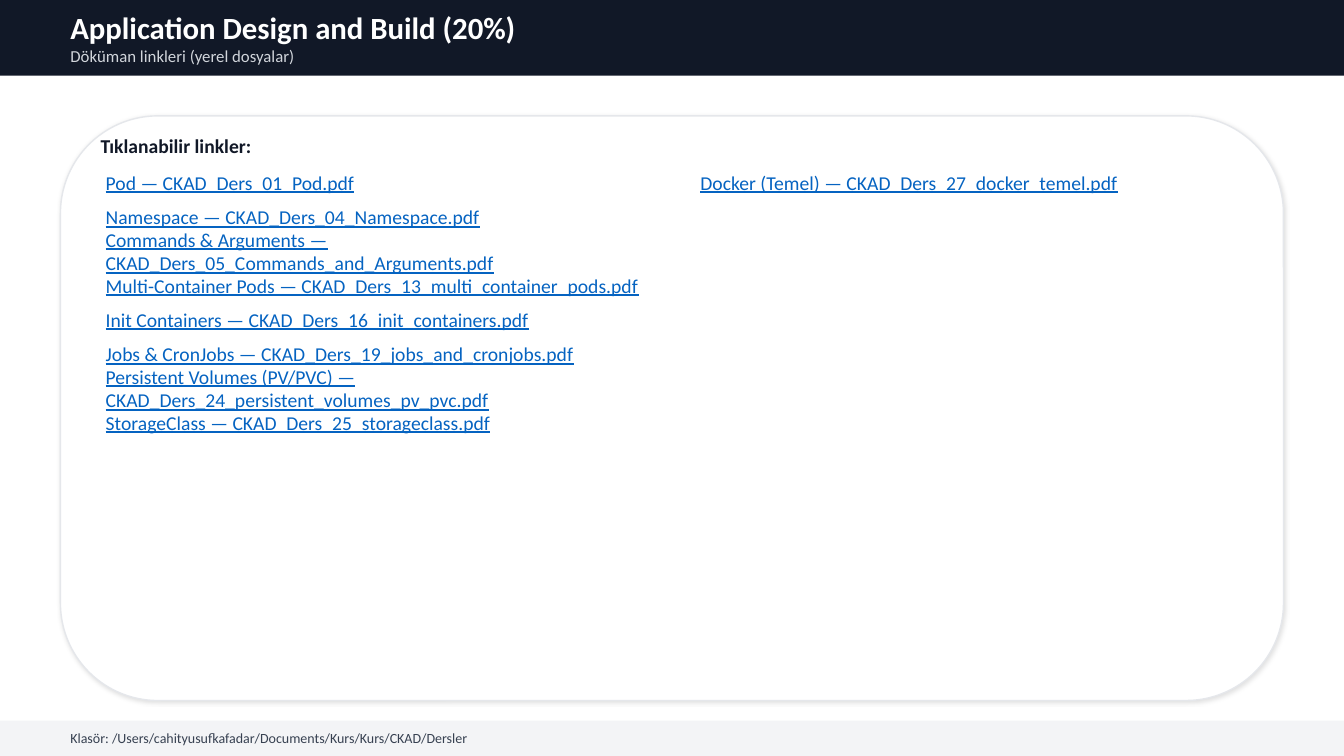
from dataclasses import dataclass

from lxml import etree
from pptx import Presentation
from pptx.dml.color import RGBColor
from pptx.enum.shapes import MSO_SHAPE
from pptx.enum.text import MSO_ANCHOR
from pptx.oxml import parse_xml
from pptx.oxml.ns import nsdecls
from pptx.util import Emu, Inches, Pt

RECT = MSO_SHAPE.RECTANGLE
ROUNDED = MSO_SHAPE.ROUNDED_RECTANGLE
MIDDLE = MSO_ANCHOR.MIDDLE

NAVY = RGBColor(0x11, 0x18, 0x27)
WHITE = RGBColor(0xFF, 0xFF, 0xFF)
SILVER = RGBColor(0xD1, 0xD5, 0xDB)
BORDER = RGBColor(0xE5, 0xE7, 0xEB)
PALE = RGBColor(0xF3, 0xF4, 0xF6)
SLATE = RGBColor(0x37, 0x41, 0x51)
LINK_BLUE = RGBColor(0x05, 0x63, 0xC1)

FONT = "Calibri"
# Grid: columns of 0.05 inch, rows of 0.01 inch
COL, ROW = Inches(0.05), Inches(0.01)
SLIDE_W, SLIDE_H = Inches(13.333), Inches(7.5)
COLS = SLIDE_W / COL
MARGIN, TEXT_COLS = 12, 244
LINK_COLS, LINK_ROWS = 113, 22
LINK_LEFT, LINK_STEP = 19, 118
LINK_TOP, LINK_PITCH = 170, 34


@dataclass
class Box:
    """Position and size in grid columns and rows."""
    col: float
    row: float
    cols: float
    rows: float

    def emu(self) -> tuple[Emu, Emu, Emu, Emu]:
        return (Emu(round(self.col * COL)), Emu(round(self.row * ROW)),
                Emu(round(self.cols * COL)), Emu(round(self.rows * ROW)))


@dataclass
class Link:
    topic: str
    file: str


LINK_COLUMNS = [
    [
        Link("Pod", "CKAD_Ders_01_Pod.pdf"),
        Link("Namespace", "CKAD_Ders_04_Namespace.pdf"),
        Link("Commands & Arguments", "CKAD_Ders_05_Commands_and_Arguments.pdf"),
        Link("Multi-Container Pods", "CKAD_Ders_13_multi_container_pods.pdf"),
        Link("Init Containers", "CKAD_Ders_16_init_containers.pdf"),
        Link("Jobs & CronJobs", "CKAD_Ders_19_jobs_and_cronjobs.pdf"),
        Link("Persistent Volumes (PV/PVC)", "CKAD_Ders_24_persistent_volumes_pv_pvc.pdf"),
        Link("StorageClass", "CKAD_Ders_25_storageclass.pdf"),
    ],
    [Link("Docker (Temel)", "CKAD_Ders_27_docker_temel.pdf")],
]


def add_panel(s, box: Box, fill: RGBColor, kind=RECT, line: RGBColor | None = None):
    sp = s.shapes.add_shape(kind, *box.emu())
    sp.shadow.inherit = False
    sp.fill.solid()
    sp.fill.fore_color.rgb = fill
    if line is None:
        sp.line.fill.background()
    else:
        sp.line.color.rgb = line
        sp.line.width = Pt(1)
    return sp


def add_soft_shadow(sp) -> None:
    effects = sp._element.spPr.find("{*}effectLst")
    shadow = parse_xml(
        f'<a:outerShdw {nsdecls("a")} blurRad="{Pt(3)}" dist="{Pt(1.5)}" '
        'dir="2700000" algn="ctr" rotWithShape="0"/>')
    color = etree.SubElement(shadow, shadow.tag.replace("outerShdw", "srgbClr"), val="000000")
    etree.SubElement(color, shadow.tag.replace("outerShdw", "alpha"), val="12000")
    effects.append(shadow)


def add_text(s, box: Box, text: str, *, size: float, color: RGBColor,
             bold: bool = False, underline: bool = False) -> None:
    tf = s.shapes.add_textbox(*box.emu()).text_frame
    tf.word_wrap = True
    tf.vertical_anchor = MIDDLE
    r = tf.paragraphs[0].add_run()
    r.text = text
    r.font.name = FONT
    r.font.size = Pt(size)
    r.font.color.rgb = color
    r.font.bold = bold
    r.font.underline = underline


def add_links(s) -> None:
    for i, links in enumerate(LINK_COLUMNS):
        for j, link in enumerate(links):
            box = Box(LINK_LEFT + i * LINK_STEP, LINK_TOP + j * LINK_PITCH,
                      LINK_COLS, LINK_ROWS)
            add_text(s, box, f"{link.topic} — {link.file}",
                     size=14, color=LINK_BLUE, underline=True)


def main() -> None:
    prs = Presentation()
    prs.slide_width, prs.slide_height = SLIDE_W, SLIDE_H
    s = prs.slides.add_slide(prs.slide_layouts[6])

    add_panel(s, Box(0, 0, COLS, 75), NAVY)
    add_text(s, Box(MARGIN, 12, TEXT_COLS, 30), "Application Design and Build (20%)",
             size=22, color=WHITE, bold=True)
    add_text(s, Box(MARGIN, 44, TEXT_COLS, 22), "Döküman linkleri (yerel dosyalar)",
             size=12, color=SILVER)

    card = add_panel(s, Box(MARGIN, 115, COLS - 2 * MARGIN, 580), WHITE, ROUNDED, BORDER)
    add_soft_shadow(card)
    add_text(s, Box(18, 130, 230, 30), "Tıklanabilir linkler:",
             size=14, color=NAVY, bold=True)
    add_links(s)

    add_panel(s, Box(0, 715, COLS, 35), PALE)
    add_text(s, Box(MARGIN, 722, TEXT_COLS, 20),
             "Klasör: /Users/cahityusufkafadar/Documents/Kurs/Kurs/CKAD/Dersler",
             size=10, color=SLATE)
    prs.save("out.pptx")


if __name__ == "__main__":
    main()
